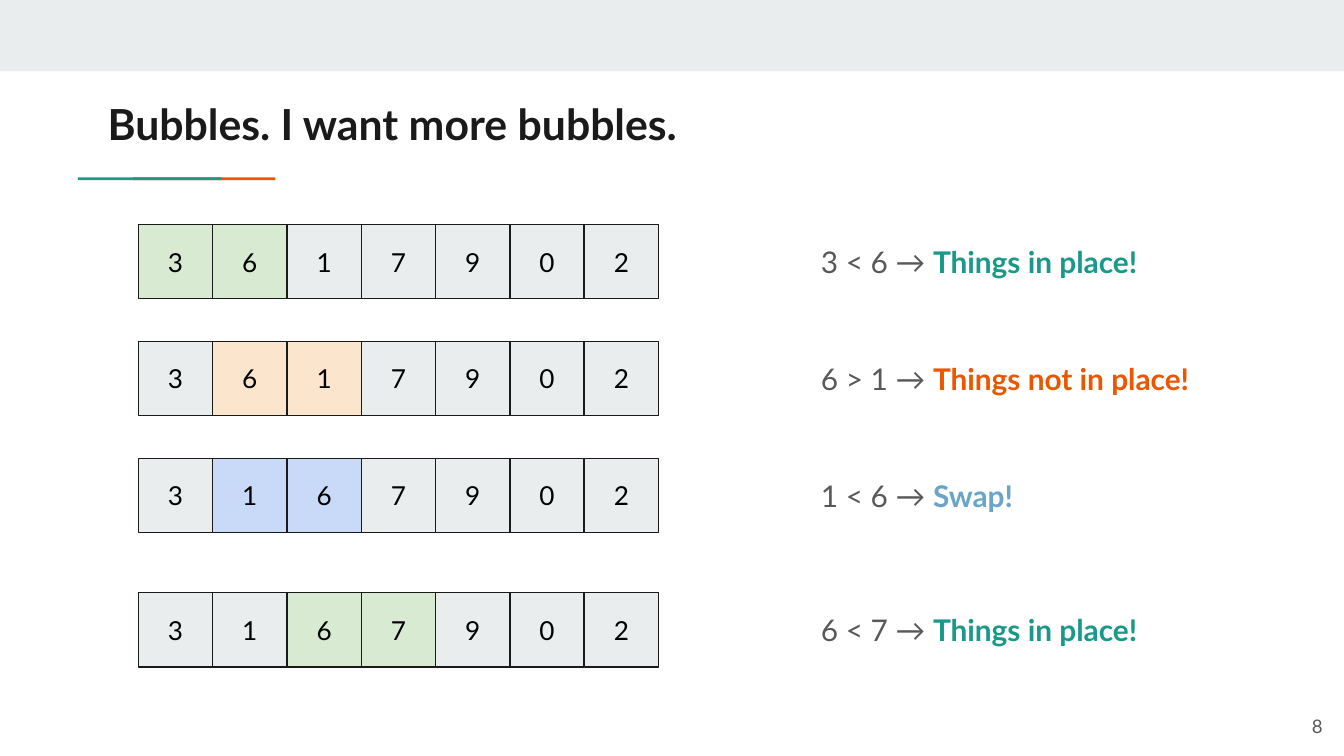
"""Build a slide that steps through the first comparisons of a bubble sort."""
import pptx
import pptx.util
import pptx.dml.color
import pptx.enum.shapes
import pptx.enum.text

Inches, Pt = pptx.util.Inches, pptx.util.Pt
ALIGN, ANCHOR = pptx.enum.text.PP_ALIGN, pptx.enum.text.MSO_ANCHOR

SLIDE_WIDTH = 10
SLIDE_HEIGHT = SLIDE_WIDTH * 9 / 16
FONT = "Lato"
INK, GRAY, PALE = "1A1A1A", "595959", "E9EDEE"
TEAL, ORANGE, BLUE = "1A9988", "EB5600", "6AA4C8"
GREEN_FILL, ORANGE_FILL, BLUE_FILL = "D9EAD3", "FCE5CD", "C9DAF8"

TITLE = "Bubbles. I want more bubbles."
BARS = [
    (0, 0, SLIDE_WIDTH, 0.53, PALE),
    (0.99, 1.32, 1.06, 0.02, ORANGE),
    (0.58, 1.32, 1.07, 0.02, TEAL),
]
STEPS = [
    (1.67, "3617902", 0, GREEN_FILL, "3 < 6 → ", "Things in place!", TEAL),
    (2.54, "3617902", 1, ORANGE_FILL, "6 > 1 → ", "Things not in place!", ORANGE),
    (3.41, "3167902", 1, BLUE_FILL, "1 < 6 → ", "Swap!", BLUE),
    (4.41, "3167902", 2, GREEN_FILL, "6 < 7 → ", "Things in place!", TEAL),
]
ROW_LEFT, ROW_WIDTH = 1.03, 3.87
NOTE_LEFT, NOTE_WIDTH, NOTE_HEIGHT = 6.01, 3.33, 0.47


def rgb(color):
    return pptx.dml.color.RGBColor.from_string(color)


def add_text(sp, runs, size, align=ALIGN.LEFT, anchor=ANCHOR.TOP, side=0.1):
    tf = sp.text_frame
    tf.word_wrap = True
    tf.vertical_anchor = anchor
    tf.margin_left = tf.margin_right = Inches(side)
    tf.margin_top = tf.margin_bottom = Inches(0.1)
    p = tf.paragraphs[0]
    p.alignment = align
    for text, color, bold in runs:
        r = p.add_run()
        r.text = text
        r.font.name, r.font.size, r.font.bold = FONT, Pt(size), bold
        r.font.color.rgb = rgb(color)


def add_box(s, left, top, width, height, fill, line=None):
    sp = s.shapes.add_shape(pptx.enum.shapes.MSO_SHAPE.RECTANGLE,
                            Inches(left), Inches(top), Inches(width), Inches(height))
    sp.shadow.inherit = False
    sp.fill.solid()
    sp.fill.fore_color.rgb = rgb(fill)
    if line:
        sp.line.color.rgb = rgb(line)
        sp.line.width = Pt(0.75)
    else:
        sp.line.fill.background()
    return sp


def add_label(s, left, top, width, height, runs, size, **layout):
    sp = s.shapes.add_textbox(Inches(left), Inches(top), Inches(width), Inches(height))
    add_text(sp, runs, size, **layout)


def add_step(s, top, digits, first, fill, comparison, verdict, color):
    cell = ROW_WIDTH / len(digits)
    for i, digit in enumerate(digits):
        cell_fill = fill if i in (first, first + 1) else PALE
        sp = add_box(s, ROW_LEFT + i * cell, top, cell, cell, cell_fill, INK)
        add_text(sp, [(digit, "000000", False)], 14, ALIGN.CENTER, ANCHOR.MIDDLE)
    add_label(s, NOTE_LEFT, top + (cell - NOTE_HEIGHT) / 2, NOTE_WIDTH, NOTE_HEIGHT,
              [(comparison, GRAY, False), (verdict, color, True)], 16)


def main():
    prs = pptx.Presentation()
    prs.slide_width, prs.slide_height = Inches(SLIDE_WIDTH), Inches(SLIDE_HEIGHT)
    s = prs.slides.add_slide(prs.slide_layouts[6])
    for bar in BARS:
        add_box(s, *bar)
    add_label(s, 0.8, 0.63, 8.41, 0.59, [(TITLE, INK, True)], 22.9, side=0)
    add_label(s, 9.34, 5.19, 0.6, 0.43, [("8", GRAY, False)], 10,
              align=ALIGN.RIGHT, anchor=ANCHOR.MIDDLE)
    for step in STEPS:
        add_step(s, *step)
    prs.save("out.pptx")


if __name__ == "__main__":
    main()
